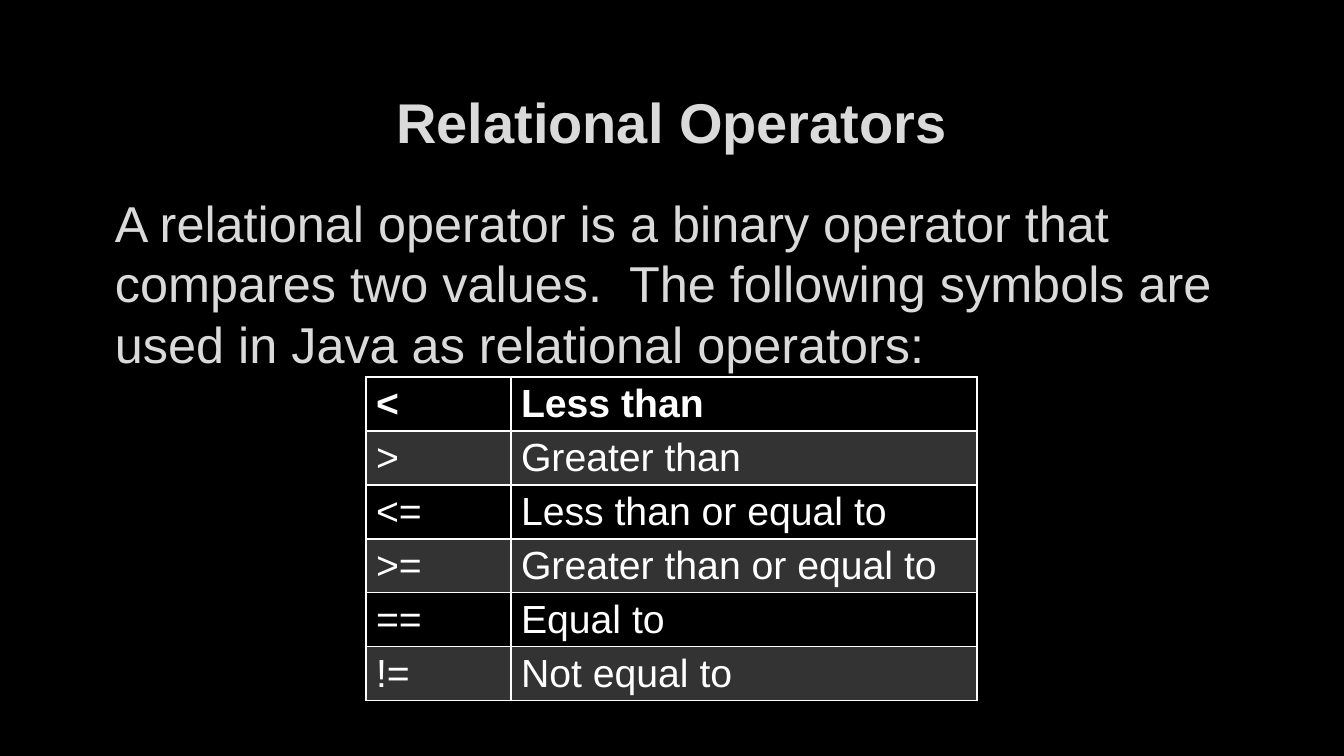
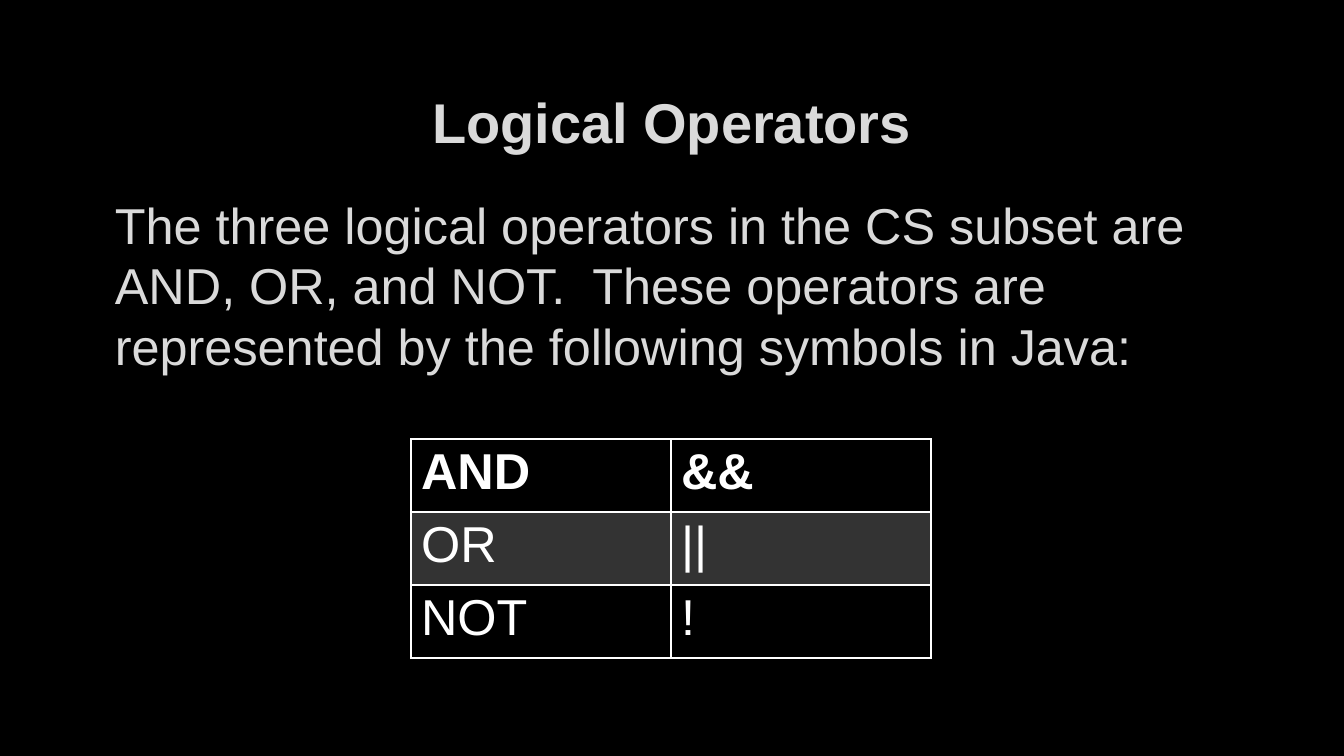
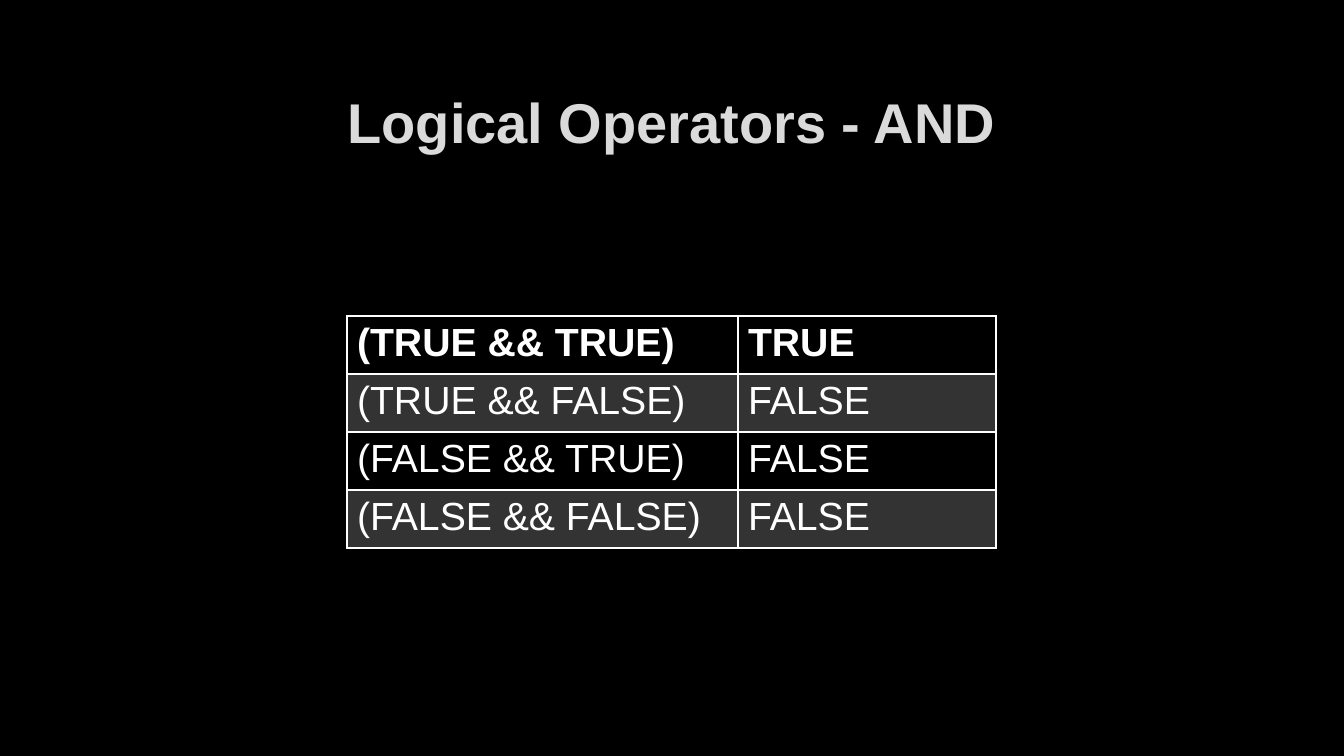
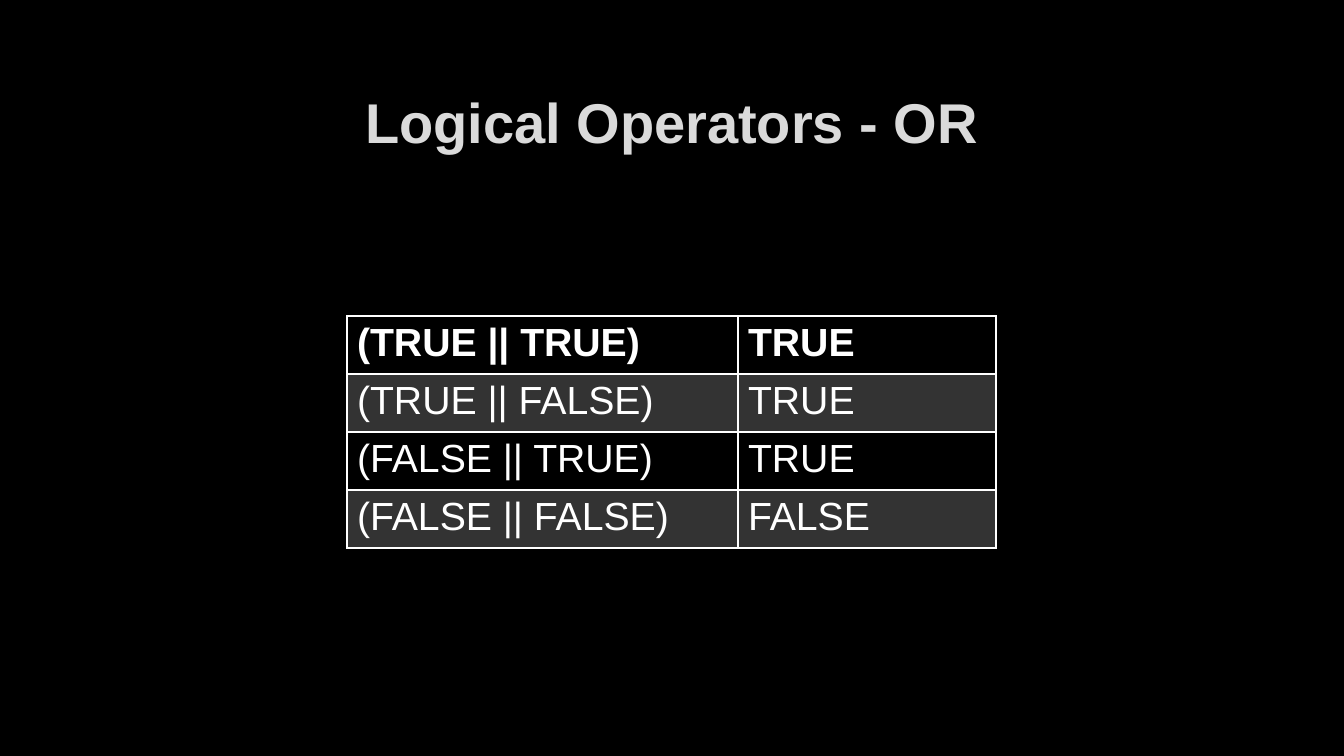
from lxml import etree
from pptx import Presentation
from pptx import util as u
from pptx.dml.color import RGBColor
from pptx.enum import text
from pptx.oxml.ns import qn

PIXEL = 914400 / 100.8
FONT = "Arial"
COLORS = {"background": "000000", "heading": "DADADA", "outline": "404040", "table": "FFFFFF"}
NO_STYLE = "{2D5ABB26-0587-4C30-8999-92F81FD0307C}"
TITLE_BOX = (101, 68, 1141, 107)
BODY_LEFT, BODY_TOP, BODY_WIDTH = 101, 190, 1141


def px(length):
    """Turn pixels into EMU."""
    return u.Emu(round(length * PIXEL))


def rgb(name):
    """Look up a named colour."""
    return RGBColor.from_string(COLORS[name])


def add_solid(parent, name, alpha=None):
    """Append a solid fill, with an optional opacity in percent."""
    solid = etree.SubElement(parent, qn("a:solidFill"))
    color = etree.SubElement(solid, qn("a:srgbClr"), val=COLORS[name])
    if alpha is not None:
        etree.SubElement(color, qn("a:alpha"), val=str(alpha * 1000))


def write(frame, words, size, color, bold=False, align=text.PP_ALIGN.LEFT, outline=False):
    """Put one formatted paragraph in a text frame and return it."""
    paragraph = frame.paragraphs[0]
    paragraph.alignment = align
    run = paragraph.add_run()
    run.text = words
    run.font.name, run.font.size, run.font.bold = FONT, u.Pt(size), bold
    run.font.color.rgb = rgb(color)
    if outline:
        line = etree.Element(qn("a:ln"), w=str(u.Pt(0.75)))
        add_solid(line, "outline", alpha=10)
        run.font._element.insert(0, line)
    return paragraph


def place(shape, left, top, width, height):
    """Move a shape to a box given in pixels."""
    shape.left, shape.top, shape.width, shape.height = map(px, (left, top, width, height))


def add_title(slide, words):
    """Fill the title placeholder."""
    place(slide.shapes.title, *TITLE_BOX)
    frame = slide.shapes.title.text_frame
    frame.vertical_anchor = text.MSO_ANCHOR.MIDDLE
    write(frame, words, 40, "heading", bold=True, align=text.PP_ALIGN.CENTER, outline=True)


def add_body(slide, words, height):
    """Add the introductory paragraph under the title."""
    box = slide.shapes.add_textbox(*map(px, (BODY_LEFT, BODY_TOP, BODY_WIDTH, height)))
    frame = box.text_frame
    frame.word_wrap = True
    frame.vertical_anchor = text.MSO_ANCHOR.MIDDLE
    paragraph = write(frame, words, 36, "heading", outline=True)
    paragraph.space_before, paragraph.space_after = u.Pt(7), u.Pt(6)
    paragraph._p.get_or_add_pPr().set("marL", str(px(4)))


def format_cell(cell, row):
    """Draw the borders of a cell and shade every second row."""
    cell.margin_bottom = px(1)
    properties = cell._tc.get_or_add_tcPr()
    widths = {"L": 1, "R": 1, "T": 2 if row == 1 else 1, "B": 2 if row == 0 else 1}
    for side, width in widths.items():
        line = etree.SubElement(properties, qn("a:ln" + side), w=str(u.Pt(width)))
        add_solid(line, "table")
    if row % 2:
        add_solid(properties, "table", alpha=20)
    else:
        cell.fill.background()


def add_grid(slide, left, top, columns, row_height, rows, size):
    """Add a table whose first row is bold."""
    box = map(px, (left, top, sum(columns), row_height * len(rows)))
    table = slide.shapes.add_table(len(rows), len(columns), *box).table
    table.first_row = table.horz_banding = False
    table._tbl.tblPr.find(qn("a:tableStyleId")).text = NO_STYLE
    for column, width in zip(table.columns, columns):
        column.width = px(width)
    for index, values in enumerate(rows):
        table.rows[index].height = px(row_height)
        for cell, words in zip(table.rows[index].cells, values):
            write(cell.text_frame, words, size, "table", bold=index == 0)
            format_cell(cell, index)


def add_slide(presentation, title):
    """Add a title-only slide."""
    slide = presentation.slides.add_slide(presentation.slide_layouts[5])
    add_title(slide, title)
    return slide


def add_operators(presentation, title, body, body_height, **grid):
    """Add a slide that introduces a table of operators."""
    slide = add_slide(presentation, title)
    add_body(slide, body, body_height)
    add_grid(slide, **grid)


def add_truth_table(presentation, name, symbol, results):
    """Add a slide with the truth table of one operator."""
    slide = add_slide(presentation, f"Logical Operators - {name}")
    pairs = [(a, b) for a in ("TRUE", "FALSE") for b in ("TRUE", "FALSE")]
    rows = [(f"({a} {symbol} {b})", result) for (a, b), result in zip(pairs, results)]
    add_grid(slide, 347, 316, (391, 258), 58, rows, 28)


def main():
    """Build and save the presentation."""
    presentation = Presentation()
    presentation.slide_width, presentation.slide_height = px(1344), px(756)
    background = presentation.slide_master.background.fill
    background.solid()
    background.fore_color.rgb = rgb("background")

    add_operators(
        presentation, "Relational Operators",
        "A relational operator is a binary operator that compares two values.  "
        "The following symbols are used in Java as relational operators: ",
        185, left=366, top=377, columns=(145, 466), row_height=54, size=28,
        rows=[("<", "Less than"), (">", "Greater than"), ("<=", "Less than or equal to "),
              (">=", "Greater than or equal to"), ("==", "Equal to"), ("!=", "Not equal to")])
    add_operators(
        presentation, "Logical Operators",
        "The three logical operators in the CS subset are AND, OR, and NOT.  "
        "These operators are represented by the following symbols in Java:",
        189, left=411, top=439, columns=(260, 260), row_height=73, size=36,
        rows=[("AND", "&&"), ("OR", "||"), ("NOT", "!")])
    add_truth_table(presentation, "AND", "&&", ("TRUE", "FALSE", "FALSE", "FALSE"))
    add_truth_table(presentation, "OR", "||", ("TRUE", "TRUE", "TRUE", "FALSE"))
    presentation.save("out.pptx")


main()
